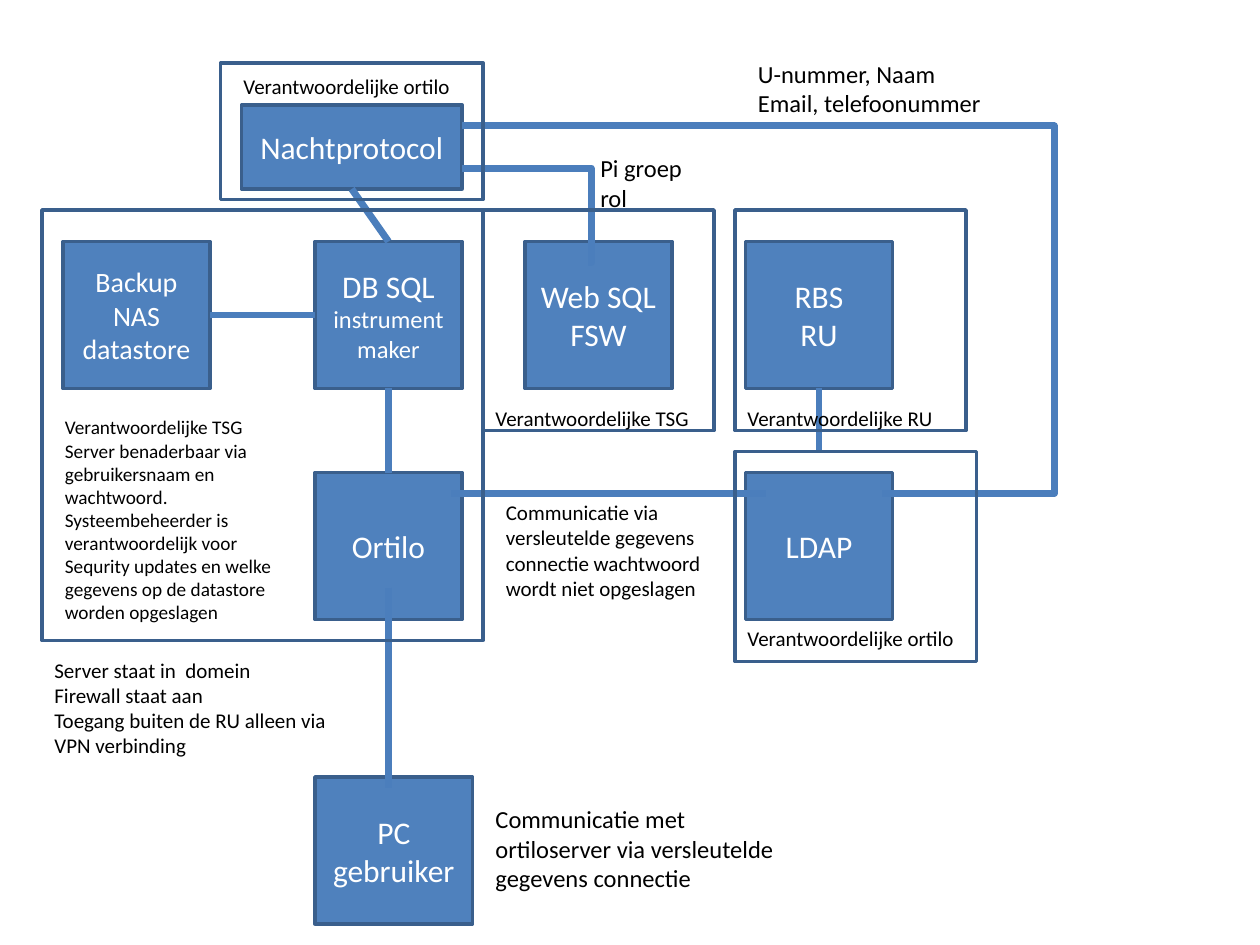
"""Build the system diagram of servers, responsibilities and connections."""
from dataclasses import dataclass

from lxml import etree
from pptx import Presentation
from pptx import util as u
from pptx.dml.color import RGBColor
from pptx.enum import shapes, text
from pptx.oxml import ns

PX = 7620


@dataclass(frozen=True)
class Theme:
    font: str = "Calibri"
    fill: RGBColor = RGBColor(0x4F, 0x81, 0xBD)
    border: RGBColor = RGBColor(0x3A, 0x5F, 0x8C)
    link: RGBColor = RGBColor(0x4B, 0x7E, 0xBC)
    light: RGBColor = RGBColor(0xFF, 0xFF, 0xFF)
    dark: RGBColor = RGBColor(0, 0, 0)
    border_width: int = 2
    link_width: int = 4
    title: int = 18
    subtitle: int = 16
    body: int = 14
    label: int = 12
    small: int = 11


THEME = Theme()

BOXES = [
    ((60, 230, 140, 140), [("Backup", THEME.subtitle), ("NAS datastore", THEME.subtitle)]),
    ((300, 230, 140, 140), [("DB SQL", THEME.title), ("instrumentmaker", THEME.body)]),
    ((500, 230, 140, 140), [("Web SQL", THEME.title), ("FSW", THEME.title)]),
    ((710, 230, 140, 140), [("RBS", THEME.title), ("RU", THEME.title)]),
    ((710, 450, 140, 140), [("LDAP", THEME.title)]),
    ((300, 450, 140, 140), [("Ortilo", THEME.title)]),
    ((230, 100, 210, 80), [("Nachtprotocol", THEME.title)]),
    ((300, 740, 150, 140), [("PC gebruiker", THEME.title)]),
]

STRAIGHT_LINKS = [
    (200, 300, 300, 300),
    (370, 370, 370, 450),
    (780, 430, 780, 370),
    (430, 470, 730, 470),
    (335, 180, 370, 230),
    (370, 560, 370, 750),
]

ELBOW_LINKS = [
    ((440, 160, 560, 250), 563),
    ((440, 120, 840, 470), 1004),
]

FRAMES = [
    (40, 200, 420, 410),
    (700, 430, 230, 200),
    (460, 200, 220, 210),
    (210, 60, 250, 130),
    (700, 200, 220, 210),
]

NOTES = [
    ((470, 470, 240, 109), THEME.label, [
        "Communicatie via versleutelde gegevens connectie wachtwoord",
        "wordt niet opgeslagen"]),
    ((710, 50, 239, 68), THEME.body, ["U-nummer, Naam", "Email, telefoonummer"]),
    ((560, 140, 103, 68), THEME.body, ["Pi groep", "rol"]),
    ((50, 390, 230, 212), THEME.small, [
        "Verantwoordelijke TSG",
        "Server benaderbaar via gebruikersnaam en wachtwoord.",
        "Systeembeheerder is verantwoordelijk voor Sequrity updates en welke "
        "gegevens op de datastore worden opgeslagen"]),
    ((460, 760, 320, 97), THEME.body, [
        "Communicatie met ortiloserver via versleutelde gegevens connectie"]),
    ((40, 620, 290, 109), THEME.label, [
        "Server staat in  domein",
        "Firewall staat aan",
        "Toegang buiten de RU alleen via VPN verbinding"]),
]

OWNERS = [
    ((220, 64, 232, 36), "Verantwoordelijke ortilo"),
    ((460, 380, 210, 36), "Verantwoordelijke TSG"),
    ((700, 590, 232, 36), "Verantwoordelijke ortilo"),
    ((700, 380, 203, 36), "Verantwoordelijke RU"),
]


def emu(lengths):
    return [u.Emu(length * PX) for length in lengths]


def write(frame, lines, color, alignment):
    for index, (words, size) in enumerate(lines):
        paragraph = frame.add_paragraph() if index else frame.paragraphs[0]
        paragraph.alignment = alignment
        run = paragraph.add_run()
        run.text = words
        run.font.name = THEME.font
        run.font.size = u.Pt(size)
        run.font.color.rgb = color


def add_rectangle(slide, place):
    shape = slide.shapes.add_shape(shapes.MSO_SHAPE.RECTANGLE, *emu(place))
    shape.shadow.inherit = False
    shape.line.color.rgb = THEME.border
    shape.line.width = u.Pt(THEME.border_width)
    return shape


def add_box(slide, place, lines):
    shape = add_rectangle(slide, place)
    shape.fill.solid()
    shape.fill.fore_color.rgb = THEME.fill
    shape.text_frame.word_wrap = True
    shape.text_frame.vertical_anchor = text.MSO_ANCHOR.MIDDLE
    write(shape.text_frame, lines, THEME.light, text.PP_ALIGN.CENTER)


def add_link(slide, ends, kind=shapes.MSO_CONNECTOR.STRAIGHT):
    link = slide.shapes.add_connector(kind, *emu(ends))
    link.line.color.rgb = THEME.link
    link.line.width = u.Pt(THEME.link_width)
    etree.SubElement(link._element.spPr, ns.qn("a:effectLst"))
    return link


def add_elbow(slide, ends, turn):
    link = add_link(slide, ends, shapes.MSO_CONNECTOR.ELBOW)
    ratio = round((turn - ends[0]) / (ends[2] - ends[0]) * 100000)
    guides = link._element.spPr.find(ns.qn("a:prstGeom")).get_or_add_avLst()
    etree.SubElement(guides, ns.qn("a:gd"), name="adj1", fmla=f"val {ratio}")


def add_note(slide, place, size, lines, wrap=True):
    frame = slide.shapes.add_textbox(*emu(place)).text_frame
    frame.word_wrap = wrap
    frame.auto_size = text.MSO_AUTO_SIZE.SHAPE_TO_FIT_TEXT
    write(frame, [(line, size) for line in lines], THEME.dark, text.PP_ALIGN.LEFT)


def main():
    presentation = Presentation()
    presentation.slide_width, presentation.slide_height = emu((1200, 900))
    slide = presentation.slides.add_slide(presentation.slide_layouts[6])
    for place, lines in BOXES:
        add_box(slide, place, lines)
    for ends in STRAIGHT_LINKS:
        add_link(slide, ends)
    for ends, turn in ELBOW_LINKS:
        add_elbow(slide, ends, turn)
    for place in FRAMES:
        add_rectangle(slide, place).fill.background()
    for place, size, lines in NOTES:
        add_note(slide, place, size, lines)
    for place, owner in OWNERS:
        add_note(slide, place, THEME.label, [owner], wrap=False)
    presentation.save("out.pptx")


if __name__ == "__main__":
    main()
